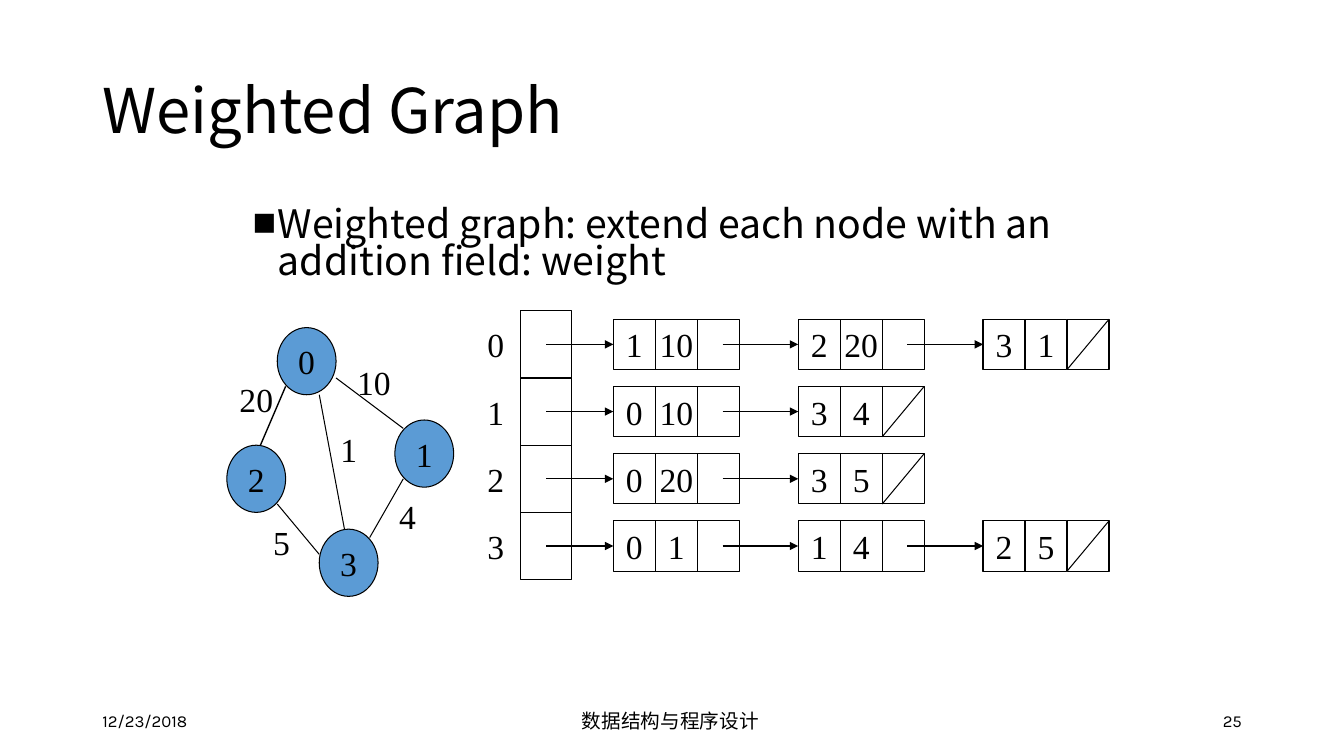
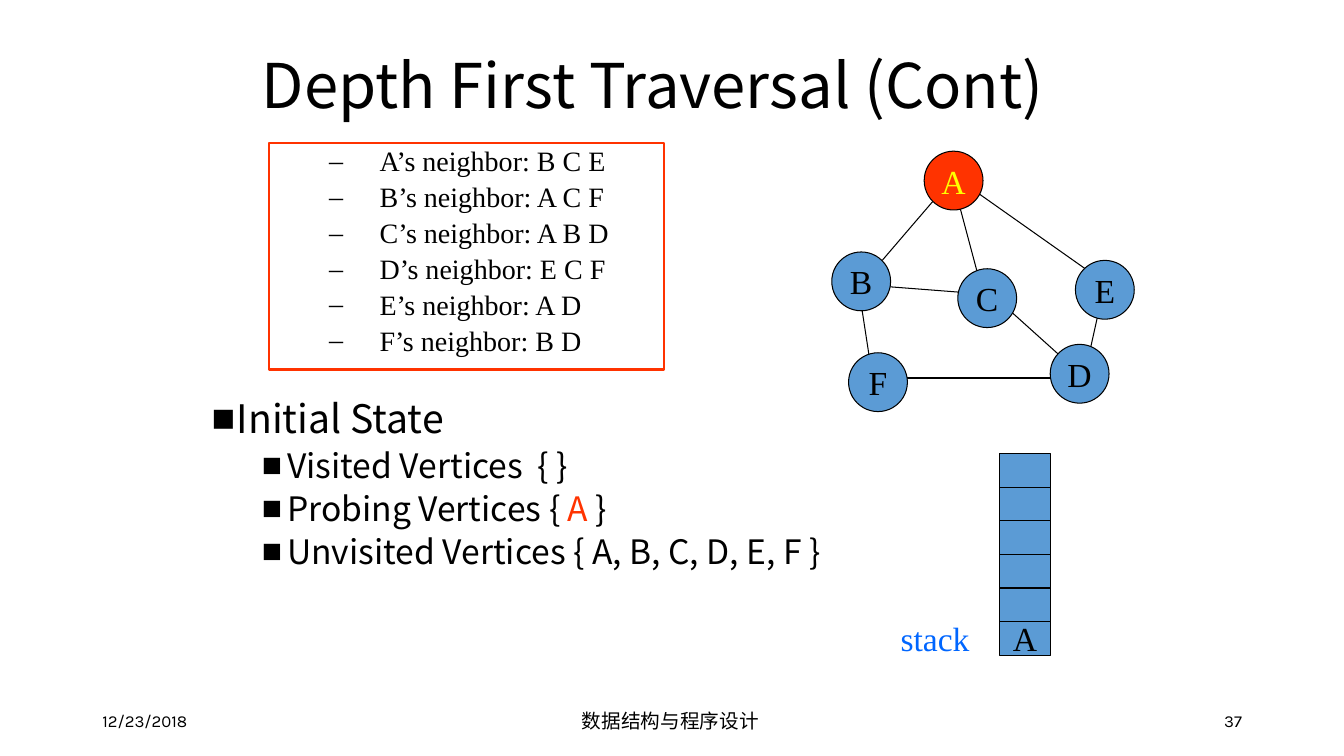
from lxml import etree
from pptx import Presentation
from pptx.dml.color import RGBColor
from pptx.enum.shapes import MSO_CONNECTOR, MSO_SHAPE
from pptx.enum.text import MSO_ANCHOR, PP_ALIGN
from pptx.oxml.ns import qn
from pptx.util import Inches, Pt

LEFT, CENTER, RIGHT = PP_ALIGN.LEFT, PP_ALIGN.CENTER, PP_ALIGN.RIGHT
TOP, MIDDLE = MSO_ANCHOR.TOP, MSO_ANCHOR.MIDDLE
RECT, OVAL = MSO_SHAPE.RECTANGLE, MSO_SHAPE.OVAL
STRAIGHT = MSO_CONNECTOR.STRAIGHT


class Theme:
    black = RGBColor(0x00, 0x00, 0x00)
    blue = RGBColor(0x5B, 0x9B, 0xD5)
    red = RGBColor(0xFF, 0x33, 0x00)
    yellow = RGBColor(0xFF, 0xFF, 0x00)
    link_blue = RGBColor(0x00, 0x66, 0xFF)
    sans, serif, small = "Noto Sans CJK SC", "Times New Roman", "Karla"
    thin, medium, thick = 0.75, 1, 1.5
    styles = {
        "title": dict(font=sans, size=44, spacing=0.9),
        "date": dict(font=small, size=12),
        "footer": dict(font=small, size=14, align=CENTER),
        "number": dict(font=small, size=12, align=RIGHT),
        "lead": dict(font=sans, size=28, spacing=0.8, bullet="■", margin=0.25, hang=0.25),
        "bullet": dict(font=sans, size=28, spacing=0.9, bullet="■", margin=0.25, hang=0.25),
        "sub": dict(font=sans, size=24, spacing=0.9, before=5, level=1,
                    bullet="■", margin=0.75, hang=0.25),
        "dash": dict(font=serif, size=20, spacing=0.9, before=4, level=1,
                     bullet="–", margin=1, hang=0.5),
        "label": dict(font=serif, size=24, align=CENTER),
        "caption": dict(font=serif, size=24),
    }


# All positions are on a grid of twelfths of an inch.
GRID = 12


def add_box(s, at, paras=(), shape=None, fill=None, line=Theme.black, width=Theme.thin,
            anchor=MIDDLE, wrap=False):
    """Add a shape, or a text box if shape is None; paras holds (style, [(text, colour)])."""
    box = [Inches(v / GRID) for v in at]
    if shape is None:
        sp = s.shapes.add_textbox(*box)
    else:
        sp = s.shapes.add_shape(shape, *box)
        sp.shadow.inherit = False
        sp.line.color.rgb = line
        sp.line.width = Pt(width)
        if fill is None:
            sp.fill.background()
        else:
            sp.fill.solid()
            sp.fill.fore_color.rgb = fill
    tf = sp.text_frame
    tf.word_wrap = wrap
    tf.vertical_anchor = anchor
    if not wrap:
        tf.margin_left = tf.margin_right = Inches(0)
    for i, (name, runs) in enumerate(paras):
        style = Theme.styles[name]
        p = tf.add_paragraph() if i else tf.paragraphs[0]
        if "bullet" in style:
            pPr = p._p.get_or_add_pPr()
            pPr.set("marL", str(Inches(style["margin"])))
            pPr.set("indent", str(-Inches(style["hang"])))
            etree.SubElement(pPr, qn("a:buFont")).set("typeface", Theme.serif)
            etree.SubElement(pPr, qn("a:buChar")).set("char", style["bullet"])
        p.level = style.get("level", 0)
        p.alignment = style.get("align", LEFT)
        p.line_spacing = style.get("spacing", 1.0)
        p.space_before = Pt(style.get("before", 0) if i else 0)
        for text, color in runs:
            r = p.add_run()
            r.text = text
            r.font.name = style["font"]
            r.font.size = Pt(style["size"])
            r.font.color.rgb = color


def add_line(s, x1, y1, x2, y2, width=Theme.thin, arrow=False):
    cx = s.shapes.add_connector(STRAIGHT, *[Inches(v / GRID) for v in (x1, y1, x2, y2)])
    cx.line.color.rgb = Theme.black
    cx.line.width = Pt(width)
    if arrow:
        ln = cx._element.spPr.find(qn("a:ln"))
        etree.SubElement(ln, qn("a:tailEnd")).set("type", "triangle")
    etree.SubElement(cx._element.spPr, qn("a:effectLst"))


prs = Presentation()
prs.slide_width, prs.slide_height = Inches(13.33), Inches(7.5)

# Frame shared by the slides: title, date, footer and page number
slides = []
for title, title_at, page in [
    ("Weighted Graph", (11, 4.8, 138, 17.4), "25"),
    ("Depth First Traversal (Cont)", (30, 3, 102, 15), "37"),
]:
    s = prs.slides.add_slide(prs.slide_layouts[6])
    for style, text, at in [
        ("date", "12/23/2018", (11, 83.4, 36, 4.8)),
        ("footer", "数据结构与程序设计", (52.8, 83.4, 54, 4.8)),
        ("number", page, (113, 83.4, 36, 4.8)),
        ("title", title, title_at),
    ]:
        add_box(s, at, [(style, [(text, Theme.black)])], wrap=True)
    slides.append(s)
weighted, traversal = slides

# Weighted graph
s = weighted
lead = "Weighted graph: extend each node with an addition field: weight"
add_box(s, (28.9, 24.2, 102, 11), [("lead", [(lead, Theme.black)])], anchor=TOP, wrap=True)

for name, x, y in [("0", 33, 39), ("1", 47, 50), ("3", 38, 63), ("2", 27, 53)]:
    add_box(s, (x, y, 7, 8), [("label", [(name, Theme.black)])], OVAL, Theme.blue)
for weight, x, y, edge, width in [
    ("20", 28, 45, (34, 46, 31, 53), Theme.medium),
    ("10", 42, 43, (40, 45, 48, 51), Theme.thin),
    ("1", 39, 51, (38, 47, 41, 63), Theme.thin),
    ("5", 31, 62, (33, 60, 38, 66), Theme.thin),
    ("4", 46, 59, (48, 57, 44, 64), Theme.thin),
]:
    add_line(s, *edge, width=width)
    add_box(s, (x, y, 5, 5), [("label", [(weight, Theme.black)])])

# Adjacency lists: each node holds a vertex, a weight and a link
adjacency = [
    [("1", "10"), ("2", "20"), ("3", "1")],
    [("0", "10"), ("3", "4")],
    [("0", "20"), ("3", "5")],
    [("0", "1"), ("1", "4"), ("2", "5")],
]
HEAD_X, HEAD_Y, ROW = 62, 37, 8
NODE_X, NODE_PITCH, CELL_W, CELL_H = 73, 22, 5, 6
for row, nodes in enumerate(adjacency):
    y = HEAD_Y + row * ROW
    add_box(s, (HEAD_X, y, 6, ROW), shape=RECT)
    add_box(s, (HEAD_X - 6, y, 6, ROW), [("label", [(str(row), Theme.black)])])
    link_x, link_y = HEAD_X + 3, y + ROW / 2
    for i, fields in enumerate(nodes):
        x = NODE_X + i * NODE_PITCH
        add_line(s, link_x, link_y, x, link_y, arrow=True)
        for col, text in enumerate(fields):
            add_box(s, (x + col * CELL_W, y + 1, CELL_W, CELL_H),
                    [("label", [(text, Theme.black)])], RECT)
        add_box(s, (x + 2 * CELL_W, y + 1, CELL_W, CELL_H), shape=RECT)
        link_x = x + 13
    add_line(s, x + 3 * CELL_W, y + 1, x + 2 * CELL_W, y + 1 + CELL_H)

# Depth first traversal
s = traversal
for edge in [
    (104, 34, 117, 35), (111, 24, 105, 31), (113, 20, 117, 35), (115, 22, 132, 34),
    (102, 33, 104, 46), (131, 36, 129, 45), (118, 35, 128, 44), (106, 45, 127, 45),
]:
    add_line(s, *edge)
for name, x, y in [("A", 110, 18), ("B", 99, 30), ("C", 114, 32),
                   ("E", 128, 31), ("F", 101, 42), ("D", 125, 41)]:
    probing = name == "A"
    add_box(s, (x, y, 7, 7), [("label", [(name, Theme.yellow if probing else Theme.black)])],
            OVAL, Theme.red if probing else Theme.blue)

neighbors = [("A", "B C E"), ("B", "A C F"), ("C", "A B D"),
             ("D", "E C F"), ("E", "A D"), ("F", "B D")]
add_box(s, (32, 17, 47, 27),
        [("dash", [(f"{v}’s neighbor: {near}", Theme.black)]) for v, near in neighbors],
        RECT, line=Theme.red, width=Theme.thick, anchor=TOP, wrap=True)

add_box(s, (24, 47, 88, 30), [
    ("bullet", [("Initial State", Theme.black)]),
    ("sub", [("Visited Vertices  { }", Theme.black)]),
    ("sub", [("Probing Vertices { ", Theme.black), ("A", Theme.red), (" }", Theme.black)]),
    ("sub", [("Unvisited Vertices { A, B, C, D, E, F }", Theme.black)]),
], anchor=TOP, wrap=True)

stack = ["", "", "", "", "", "A"]
for i, item in enumerate(stack):
    paras = [("label", [(item, Theme.black)])] if item else ()
    add_box(s, (119, 54 + 4 * i, 6, 4), paras, RECT, Theme.blue)
add_box(s, (106, 73, 11, 6), [("caption", [("stack", Theme.link_blue)])], anchor=TOP, wrap=True)

prs.save("out.pptx")
